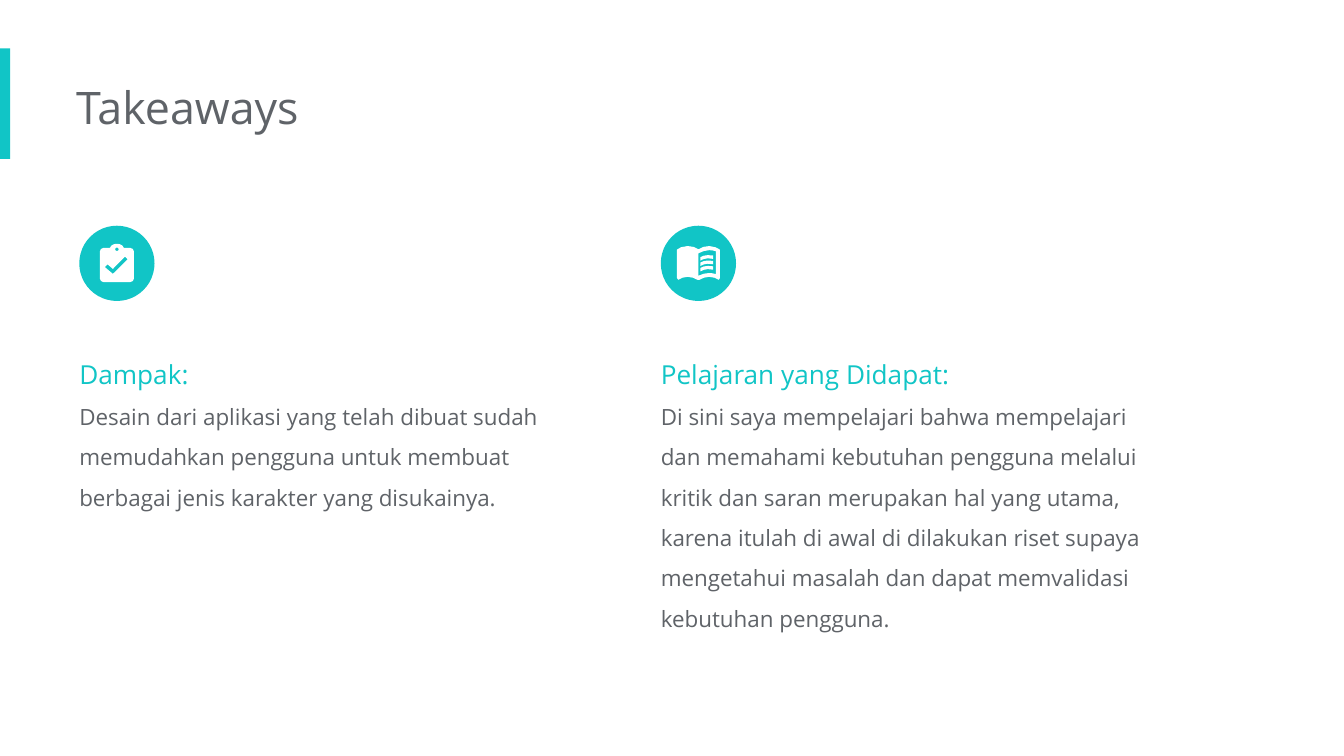
from dataclasses import dataclass
from math import cos, pi, sin

from pptx import Presentation
from pptx.dml.color import RGBColor
from pptx.enum.shapes import MSO_SHAPE
from pptx.enum.text import MSO_ANCHOR, MSO_AUTO_SIZE
from pptx.util import Inches, Pt

RECTANGLE = MSO_SHAPE.RECTANGLE
OVAL = MSO_SHAPE.OVAL
TOP = MSO_ANCHOR.TOP
GROW = MSO_AUTO_SIZE.SHAPE_TO_FIT_TEXT
COLORS = {"accent": "11C5C6", "text": "5F6368", "white": "FFFFFF"}
FONT = "Open Sans"
SLIDE_WIDTH = Inches(10)
SLIDE_HEIGHT = SLIDE_WIDTH * 9 // 16
CELL = SLIDE_WIDTH / 100
ICON_SIZE = 5.6
ICON_UNIT = CELL * ICON_SIZE / 560
ICON_ROW = 16.8
TEXT_ROW = 24.5
TEXT_WIDTH = 37.7
FRAME_FORMAT = {
    "word_wrap": True,
    "auto_size": GROW,
    "vertical_anchor": TOP,
    "margin_left": 0,
    "margin_top": Inches(0.1),
    "margin_right": Inches(0.1),
    "margin_bottom": Inches(0.1),
}

Contour = list[tuple[float, float]]


@dataclass(frozen=True)
class TextLine:
    text: str
    size: float
    color: str
    spacing: float = 1.0


@dataclass(frozen=True)
class Box:
    column: float
    row: float
    width: float
    height: float

    def lengths(self) -> list[int]:
        return [round(value * CELL) for value in (self.column, self.row, self.width, self.height)]


@dataclass(frozen=True)
class Takeaway:
    column: float
    text_height: float
    heading: str
    body: str
    icon: list[list[Contour]]


def circle(center_x: float, center_y: float, radius: float) -> Contour:
    angles = [2 * pi * step / 16 for step in range(16)]
    return [(center_x + radius * cos(angle), center_y + radius * sin(angle)) for angle in angles]


def shifted(contour: Contour, down: float) -> Contour:
    return [(x, y + down) for x, y in contour]


CLIPBOARD = [
    (180, 165), (228, 165), (240, 147), (260, 137), (280, 134), (300, 137), (320, 147),
    (332, 165), (380, 165), (399, 173), (407, 192), (407, 392), (399, 411), (380, 419),
    (180, 419), (161, 411), (153, 392), (153, 192), (161, 173),
]
CHECK = [(250, 358), (190, 307), (210, 287), (250, 321), (340, 230), (360, 250)]
BOOK = [
    (120, 178), (150, 160), (200, 151), (245, 158), (280, 175), (315, 158), (360, 151),
    (405, 160), (440, 178), (440, 390), (430, 402), (400, 387), (360, 380), (320, 387),
    (288, 402), (272, 402), (240, 387), (200, 380), (160, 387), (130, 402), (120, 390),
]
PAGE = [
    (280, 205), (320, 188), (360, 182), (385, 184), (410, 190), (410, 360), (385, 354),
    (360, 352), (320, 357), (280, 372),
]
PAGE_LINE = [
    (294, 234), (320, 223), (350, 219), (390, 222), (390, 247), (350, 243), (320, 248), (294, 260),
]

TITLE = TextLine("Takeaways", 24, "text")
TAKEAWAYS = [
    Takeaway(
        5.9, 14.6, "Dampak:",
        "Desain dari aplikasi yang telah dibuat sudah memudahkan pengguna untuk membuat "
        "berbagai jenis karakter yang disukainya.",
        [[CLIPBOARD, circle(280, 175, 13), CHECK]],
    ),
    Takeaway(
        49.17, 23.7, "Pelajaran yang Didapat:",
        "Di sini saya mempelajari bahwa mempelajari dan memahami kebutuhan pengguna melalui "
        "kritik dan saran merupakan hal yang utama, karena itulah di awal di dilakukan riset "
        "supaya mengetahui masalah dan dapat memvalidasi kebutuhan pengguna.",
        [[BOOK, PAGE]] + [[shifted(PAGE_LINE, 40 * index)] for index in range(3)],
    ),
]


def paint(shape, color: str) -> None:
    shape.shadow.inherit = False
    shape.fill.solid()
    shape.fill.fore_color.rgb = RGBColor.from_string(COLORS[color])
    shape.line.fill.background()


def draw_shape(slide, kind: MSO_SHAPE, box: Box) -> None:
    paint(slide.shapes.add_shape(kind, *box.lengths()), "accent")


def draw_text(slide, box: Box, lines: list[TextLine]) -> None:
    frame = slide.shapes.add_textbox(*box.lengths()).text_frame
    for name, value in FRAME_FORMAT.items():
        setattr(frame, name, value)
    for index, line in enumerate(lines):
        paragraph = frame.add_paragraph() if index else frame.paragraphs[0]
        paragraph.line_spacing = line.spacing
        run = paragraph.add_run()
        run.text = line.text
        for name, value in {"name": FONT, "size": Pt(line.size)}.items():
            setattr(run.font, name, value)
        run.font.color.rgb = RGBColor.from_string(COLORS[line.color])


def draw_outline(slide, contours: list[Contour], column: float) -> None:
    first, *holes = contours
    builder = slide.shapes.build_freeform(*first[0], scale=ICON_UNIT)
    builder.add_line_segments(first[1:], close=True)
    for hole in holes:
        builder.move_to(*hole[0])
        builder.add_line_segments(hole[1:], close=True)
    paint(builder.convert_to_shape(round(column * CELL), round(ICON_ROW * CELL)), "white")


def draw_takeaway(slide, takeaway: Takeaway) -> None:
    lines = [
        TextLine(takeaway.heading, 14, "accent", 1.5),
        TextLine(takeaway.body, 12, "text", 1.5),
    ]
    draw_text(slide, Box(takeaway.column, TEXT_ROW, TEXT_WIDTH, takeaway.text_height), lines)
    draw_shape(slide, OVAL, Box(takeaway.column, ICON_ROW, ICON_SIZE, ICON_SIZE))
    for contours in takeaway.icon:
        draw_outline(slide, contours, takeaway.column)


def main() -> None:
    presentation = Presentation()
    presentation.slide_width = SLIDE_WIDTH
    presentation.slide_height = SLIDE_HEIGHT
    slide = presentation.slides.add_slide(presentation.slide_layouts[6])
    draw_shape(slide, RECTANGLE, Box(0, 3.6, 0.75, 8.23))
    draw_text(slide, Box(5.67, 4.9, 53.9, 6.1), [TITLE])
    for takeaway in TAKEAWAYS:
        draw_takeaway(slide, takeaway)
    presentation.save("out.pptx")


if __name__ == "__main__":
    main()
